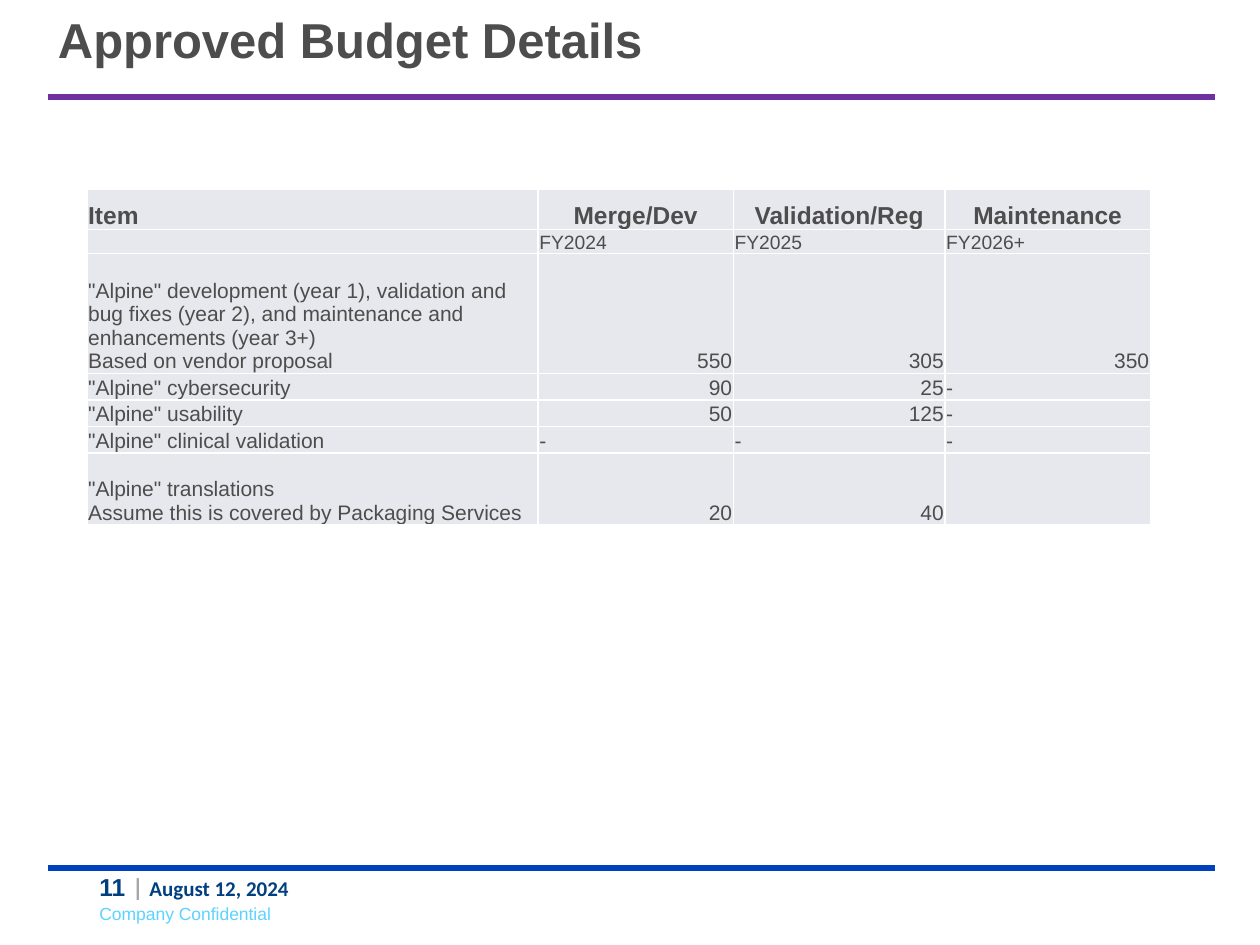
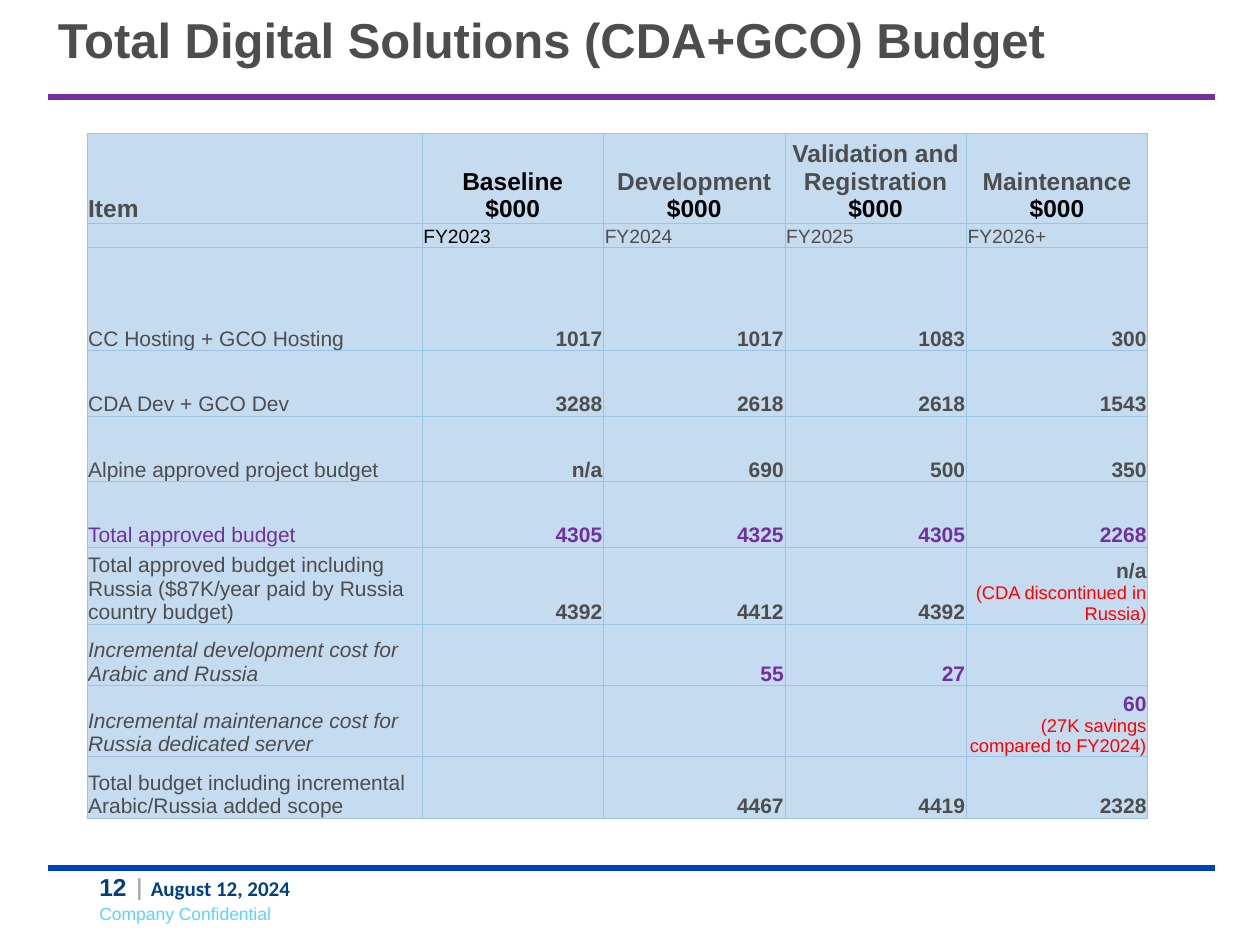
import dataclasses

import lxml.etree
import pptx
import pptx.dml.color
import pptx.enum.shapes
import pptx.enum.text
import pptx.oxml.ns
import pptx.util

Inches = pptx.util.Inches
Pt = pptx.util.Pt
Align = pptx.enum.text.PP_ALIGN
Anchor = pptx.enum.text.MSO_ANCHOR
qn = pptx.oxml.ns.qn


@dataclasses.dataclass(frozen=True)
class Theme:
    heading_font: str = "Arial"
    date_font: str = "Calibri"
    gray: str = "4D4D4D"
    black: str = "000000"
    purple: str = "7030A0"
    red: str = "FF0000"
    navy: str = "004080"
    divider: str = "A6A6A6"
    sky: str = "5CD3FF"
    footer_rule: str = "0041C0"
    title_size: float = 28
    header_size: float = 14
    year_size: float = 11
    body_size: float = 12
    note_size: float = 10.5
    small_size: float = 10
    rule_width: float = 3.5


theme = Theme()

budget_pages = [
    {
        "title": "Approved Budget Details",
        "top": 1.5,
        "columns": [3.58, 1.55, 1.68, 1.63],
        "heights": [0.32, 0.19, 0.95, 0.21, 0.21, 0.21, 0.57],
        "fill": "E7E8ED",
        "border": ("FFFFFF", 1),
        "bold_values": False,
        "rows": [
            ["Item", "Merge/Dev", "Validation/Reg", "Maintenance"],
            ["", "FY2024", "FY2025", "FY2026+"],
            ['"Alpine" development (year 1), validation and bug fixes (year 2), '
             "and maintenance and enhancements (year 3+)\nBased on vendor proposal",
             "550", "305", "350"],
            ['"Alpine" cybersecurity', "90", "25", "-"],
            ['"Alpine" usability', "50", "125", "-"],
            ['"Alpine" clinical validation', "-", "-", "-"],
            ['"Alpine" translations\nAssume this is covered by Packaging Services',
             "20", "40", ""],
        ],
    },
    {
        "title": "Total Digital Solutions (CDA+GCO) Budget",
        "top": 1.06,
        "columns": [2.66] + [1.44] * 4,
        "heights": [0.71, 0.19, 0.82, 0.52, 0.52, 0.52, 0.6, 0.49, 0.56, 0.49],
        "fill": "C5DBEF",
        "border": ("9CC3E5", 0.5),
        "bold_values": True,
        "rows": [
            ["Item", "Baseline\n$000", "Development\n$000",
             "Validation and Registration\n$000", "Maintenance\n$000"],
            ["", "FY2023", "FY2024", "FY2025", "FY2026+"],
            ["CC Hosting + GCO Hosting", "1017", "1017", "1083", "300"],
            ["CDA Dev + GCO Dev", "3288", "2618", "2618", "1543"],
            ["Alpine approved project budget", "n/a", "690", "500", "350"],
            ["Total approved budget", "4305", "4325", "4305", "2268"],
            ["Total approved budget including Russia ($87K/year paid by Russia country budget)",
             "4392", "4412", "4392", "n/a\n(CDA discontinued in Russia)"],
            ["Incremental development cost for Arabic and Russia", "", "55", "27", ""],
            ["Incremental maintenance cost for Russia dedicated server",
             "", "", "", "60\n(27K savings compared to FY2024)"],
            ["Total budget including incremental Arabic/Russia added scope",
             "", "4467", "4419", "2328"],
        ],
    },
]


def add_span(para, text, size, color, bold=False, italic=False, font=theme.heading_font):
    span = para.add_run()
    span.text = text
    span.font.name = font
    span.font.size = Pt(size)
    span.font.bold = bold
    span.font.italic = italic
    span.font.color.rgb = pptx.dml.color.RGBColor.from_string(color)


def add_borders(cell, color, width):
    properties = cell._tc.get_or_add_tcPr()
    for position, side in enumerate(("a:lnL", "a:lnR", "a:lnT", "a:lnB")):
        line = lxml.etree.Element(qn(side), w=str(Pt(width)))
        fill = lxml.etree.SubElement(line, qn("a:solidFill"))
        lxml.etree.SubElement(fill, qn("a:srgbClr"), val=color)
        properties.insert(position, line)


deck = pptx.Presentation()
deck.slide_width = Inches(10)
deck.slide_height = Inches(7.5)
title_only = deck.slide_layouts[5]

for page_number, budget in enumerate(budget_pages, start=11):
    page = deck.slides.add_slide(title_only)

    # Footer and rules
    box = page.shapes.add_textbox(Inches(0.69), Inches(7.12), Inches(1.59), Inches(0.27))
    add_span(box.text_frame.paragraphs[0], "Company Confidential", theme.small_size, theme.sky)

    box = page.shapes.add_textbox(Inches(0.69), Inches(6.87), Inches(2.92), Inches(0.34))
    box.text_frame.word_wrap = True
    para = box.text_frame.paragraphs[0]
    add_span(para, f"{page_number} ", theme.header_size, theme.navy, bold=True)
    add_span(para, "| ", theme.header_size, theme.divider, bold=True, font=theme.date_font)
    add_span(para, "August 12, 2024", theme.body_size, theme.navy, bold=True, font=theme.date_font)

    for y, color in ((6.89, theme.footer_rule), (0.77, theme.purple)):
        rule = page.shapes.add_connector(
            pptx.enum.shapes.MSO_CONNECTOR.STRAIGHT,
            Inches(0.38), Inches(y), Inches(9.64), Inches(y))
        rule.line.color.rgb = pptx.dml.color.RGBColor.from_string(color)
        rule.line.width = Pt(theme.rule_width)
        lxml.etree.SubElement(rule._element.spPr, qn("a:effectLst"))

    # Title
    title = page.shapes.title
    title.left, title.top = Inches(0.36), Inches(0.08)
    title.width, title.height = Inches(9.25), Inches(0.67)
    title.text_frame.auto_size = pptx.enum.text.MSO_AUTO_SIZE.NONE
    title.text_frame.vertical_anchor = Anchor.TOP
    para = title.text_frame.paragraphs[0]
    para.alignment = Align.LEFT
    para.line_spacing = 0.9
    add_span(para, budget["title"], theme.title_size, theme.gray, bold=True)

    # Budget table
    rows, columns, heights = budget["rows"], budget["columns"], budget["heights"]
    table = page.shapes.add_table(
        len(rows), len(columns), Inches(0.69), Inches(budget["top"]),
        Inches(sum(columns)), Inches(sum(heights))).table
    table.first_row = False
    table.horz_banding = False
    for column, width in zip(table.columns, columns):
        column.width = Inches(width)
    for row, height in zip(table.rows, heights):
        row.height = Inches(height)

    for row_index, row in enumerate(rows):
        label = row[0]
        for column_index, text in enumerate(row):
            cell = table.cell(row_index, column_index)
            cell.fill.solid()
            cell.fill.fore_color.rgb = pptx.dml.color.RGBColor.from_string(budget["fill"])
            add_borders(cell, *budget["border"])
            cell.margin_left = cell.margin_right = cell.margin_top = Inches(0.01)
            cell.margin_bottom = 0
            cell.vertical_anchor = Anchor.BOTTOM
            para = cell.text_frame.paragraphs[0]
            if not text:
                lxml.etree.SubElement(para._p, qn("a:endParaRPr"), sz=str(theme.year_size * 100))
                continue

            is_label = column_index == 0
            size, color, bold, align = theme.body_size, theme.gray, False, Align.LEFT
            if row_index == 0:
                size, bold = theme.header_size, True
                align = Align.LEFT if is_label else Align.CENTER
            elif row_index == 1:
                size = theme.year_size
            elif not is_label and text != "-":
                bold, align = budget["bold_values"], Align.RIGHT
            incremental = label.startswith("Incremental")
            if label == "Total approved budget" or (incremental and not is_label):
                color = theme.purple
            if text.startswith("Baseline") or text == "FY2023":
                color = theme.black

            for line_index, line in enumerate(text.split("\n")):
                if line_index and is_label:
                    para.add_line_break()
                elif line_index:
                    para = cell.text_frame.add_paragraph()
                para.alignment = align
                if line == "$000":
                    color = theme.black
                elif line.startswith("("):
                    size, color, bold = theme.note_size, theme.red, False
                add_span(para, line, size, color, bold, italic=incremental and is_label)

deck.save("out.pptx")
